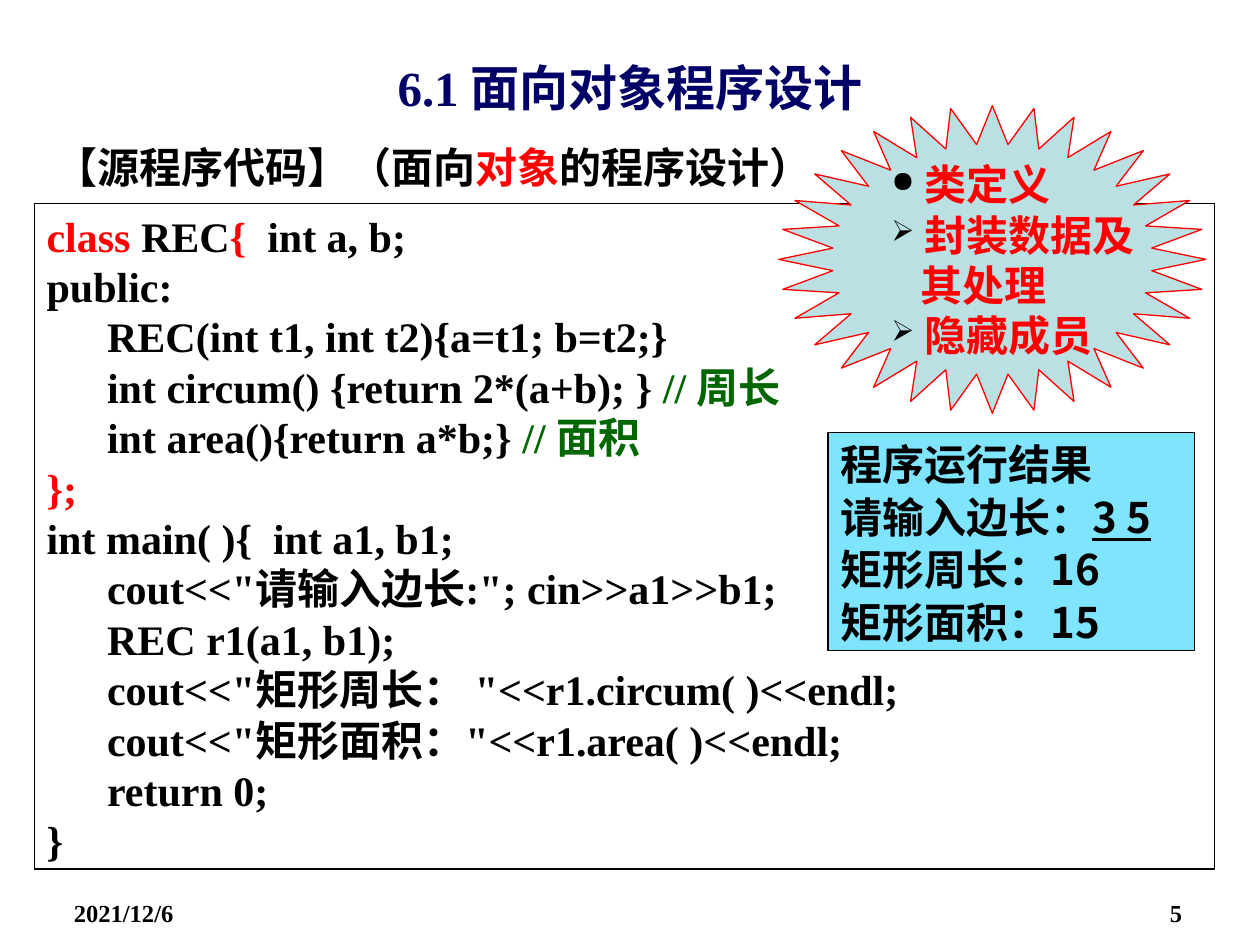
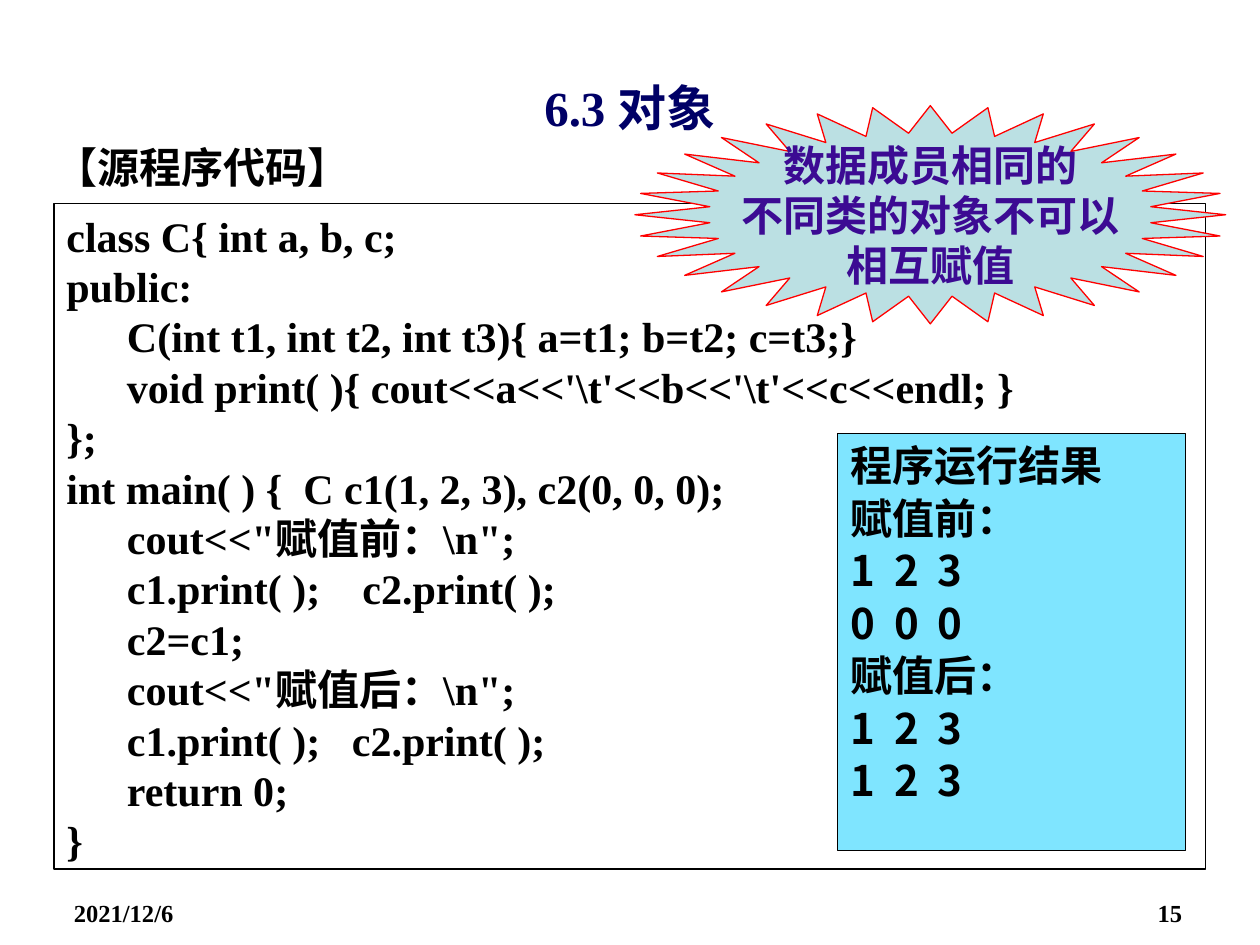
from lxml.etree import SubElement
from pptx import Presentation
from pptx.dml.color import RGBColor
from pptx.enum.shapes import MSO_SHAPE
from pptx.enum.text import MSO_ANCHOR, MSO_AUTO_SIZE, PP_ALIGN
from pptx.oxml.ns import qn
from pptx.util import Cm, Pt

BLACK, RED, GREEN = "000000", "FF0000", "006600"
NAVY, PURPLE = "000066", "3C0B93"
PALE_TEAL, SKY = "BBE0E3", "00CCFF"
SERIF, SANS = "Times New Roman", "Noto Sans CJK SC"
DATE = "2021/12/6"
LINE_PITCH = Pt(28.8)

# Hanging indents: left margin and first-line offset, in cm
HEADING_INDENT = (0.74, -0.74)
CODE_INDENTS = [(0.97, -0.97), (1.98, -0.76)]

# A run is a string or (string, colour). A code line is (level, run, run, ...).
# Boxes are (left, top, width, height) in cm.
SLIDES = [
    {
        "title": "6.1 面向对象程序设计",
        "title_top": 0.97,
        "number": "5",
        "heading": ["【源程序代码】（面向", ("对象", RED), "的程序设计）"],
        "code_box": (0.69, 4.11, 23.8, 13.41),
        "code": [
            (0, ("class", RED), " REC", ("{  ", RED), "int a, b;"),
            (0, "public:"),
            (1, "REC(int t1, int t2){a=t1; b=t2;}"),
            (1, "int circum() {return 2*(a+b); } ", ("// 周长", GREEN)),
            (1, "int area(){return a*b;} ", ("// 面积", GREEN)),
            (0, ("};", RED)),
            (0, "int main( ){  int a1, b1;"),
            (1, 'cout<<"请输入边长:"; cin>>a1>>b1;'),
            (1, "REC r1(a1, b1);"),
            (1, 'cout<<"矩形周长： "<<r1.circum( )<<endl;'),
            (1, 'cout<<"矩形面积："<<r1.area( )<<endl;'),
            (1, "return 0;"),
            (0, "}"),
        ],
        "result_box": (16.69, 8.72, 7.39, 4.4),
        "result": ["程序运行结果", "请输入边长：", "矩形周长：16", "矩形面积：15"],
        "typed_input": (1, "3 5"),
        "star_box": (15.7, 2.13, 8.61, 6.2),
        "star_color": RED,
        "star": [("●", " 类定义"), ("➢", " 封装数据及\v   其处理"), ("➢", " 隐藏成员")],
    },
    {
        "title": "6.3 对象",
        "title_top": 1.37,
        "number": "15",
        "heading": ["【源程序代码】"],
        "code_box": (1.09, 4.11, 23.22, 13.41),
        "code": [
            (0, "class C{ int a, b, c;"),
            (0, "public:"),
            (1, "C(int t1, int t2, int t3){ a=t1; b=t2; c=t3;}"),
            (1, r"void print( ){ cout<<a<<'\t'<<b<<'\t'<<c<<endl; }"),
            (0, "};"),
            (0, "int main( ) {  C c1(1, 2, 3), c2(0, 0, 0);"),
            (1, r'cout<<"赋值前：\n";'),
            (1, "c1.print( );    c2.print( );"),
            (1, "c2=c1;"),
            (1, r'cout<<"赋值后：\n";'),
            (1, "c1.print( );   c2.print( );"),
            (1, "return 0;"),
            (0, "}"),
        ],
        "result_box": (16.89, 8.74, 7.01, 8.41),
        "result": ["程序运行结果", "赋值前：", "1  2  3", "0  0  0",
                   "赋值后：", "1  2  3", "1  2  3"],
        "star_box": (12.8, 2.13, 11.91, 4.4),
        "star_color": PURPLE,
        "star": [(None, "数据成员相同的"), (None, "不同类的对象不可以"), (None, "相互赋值")],
    },
]


def rgb(color):
    return RGBColor.from_string(color)


def place(shape, box):
    shape.left, shape.top, shape.width, shape.height = map(Cm, box)


def paragraphs(frame, count):
    """Yield count paragraphs, starting with the one the frame already has."""
    for index in range(count):
        yield frame.add_paragraph() if index else frame.paragraphs[0]


def style(paragraph, size=24, color=BLACK, font=SERIF, align=PP_ALIGN.LEFT,
          pitch=None, indent=None):
    paragraph.font.name = font
    paragraph.font.size = Pt(size)
    paragraph.font.bold = True
    paragraph.font.color.rgb = rgb(color)
    paragraph.alignment = align
    if pitch:
        paragraph.line_spacing = pitch
    properties = paragraph._p.get_or_add_pPr()
    SubElement(properties.find(qn("a:defRPr")), qn("a:ea"), typeface=SANS)
    if indent:
        for name, length in zip(("marL", "indent"), indent):
            properties.set(name, str(Cm(length)))


def add_runs(paragraph, runs):
    for part in runs:
        text, color = (part, None) if isinstance(part, str) else part
        run = paragraph.add_run()
        run.text = text
        if color:
            run.font.color.rgb = rgb(color)


def set_bullet(paragraph, mark=None):
    properties = paragraph._p.get_or_add_pPr()
    bullet = []
    if mark:
        color = properties.makeelement(qn("a:buClr"))
        SubElement(color, qn("a:srgbClr"), val=BLACK)
        bullet = [color,
                  properties.makeelement(qn("a:buSzPct"), val="70000"),
                  properties.makeelement(qn("a:buChar"), char=mark)]
    else:
        bullet = [properties.makeelement(qn("a:buNone"))]
    for element in bullet:
        properties.find(qn("a:defRPr")).addprevious(element)


def add_panel(slide, kind, box, line, fill=None, alpha=None):
    panel = slide.shapes.add_shape(kind, *map(Cm, box))
    panel.shadow.inherit = False
    panel.line.color.rgb = rgb(line)
    panel.line.width = Pt(0.75)
    if fill:
        panel.fill.solid()
        panel.fill.fore_color.rgb = rgb(fill)
    else:
        panel.fill.background()
    if alpha:
        color = panel._element.spPr.find(qn("a:solidFill")).find(qn("a:srgbClr"))
        SubElement(color, qn("a:alpha"), val=str(alpha * 1000))
    frame = panel.text_frame
    frame.word_wrap = True
    frame.vertical_anchor = MSO_ANCHOR.TOP
    return frame


def fill_placeholders(slide, content):
    title, heading = slide.shapes.title, slide.placeholders[1]
    place(title, (1.27, content["title_top"], 22.86, 1.55))
    place(heading, (0.86, 2.72, 23.62, 1.6))
    for shape in (title, heading):
        shape.text_frame.auto_size = MSO_AUTO_SIZE.NONE
    title.text_frame.vertical_anchor = MSO_ANCHOR.MIDDLE
    title.text_frame.text = content["title"]
    style(title.text_frame.paragraphs[0], 28, NAVY, align=PP_ALIGN.CENTER)

    line = heading.text_frame.paragraphs[0]
    add_runs(line, content["heading"])
    style(line, pitch=LINE_PITCH, indent=HEADING_INDENT)
    line.space_before = Pt(0)
    set_bullet(line)


def add_code(slide, content):
    frame = add_panel(slide, MSO_SHAPE.RECTANGLE, content["code_box"], BLACK)
    code = content["code"]
    for line, (level, *runs) in zip(paragraphs(frame, len(code)), code):
        line.level = level
        add_runs(line, runs)
        style(line, pitch=LINE_PITCH, indent=CODE_INDENTS[level])


def add_result(slide, content):
    frame = add_panel(slide, MSO_SHAPE.RECTANGLE, content["result_box"],
                      BLACK, SKY, alpha=50)
    result = content["result"]
    for line, text in zip(paragraphs(frame, len(result)), result):
        line.text = text
        style(line, font=SANS, pitch=LINE_PITCH, indent=HEADING_INDENT)
        line.space_before = Pt(1.2)
    if "typed_input" in content:
        row, typed = content["typed_input"]
        run = frame.paragraphs[row].add_run()
        run.text = typed
        run.font.underline = True


def add_star(slide, content):
    frame = add_panel(slide, MSO_SHAPE.STAR_32_POINT, content["star_box"],
                      RED, PALE_TEAL)
    frame.word_wrap = False
    frame.vertical_anchor = MSO_ANCHOR.MIDDLE
    star = content["star"]
    for line, (mark, text) in zip(paragraphs(frame, len(star)), star):
        line.text = text
        style(line, color=content["star_color"], pitch=LINE_PITCH,
              align=PP_ALIGN.LEFT if mark else PP_ALIGN.CENTER)
        if mark:
            set_bullet(line, mark)


def add_footer(slide, number):
    for left, text, align in ((1.24, DATE, PP_ALIGN.LEFT),
                              (18.16, number, PP_ALIGN.RIGHT)):
        frame = slide.shapes.add_textbox(*map(Cm, (left, 17.98, 5.92, 0.74))).text_frame
        frame.word_wrap = True
        frame.text = text
        style(frame.paragraphs[0], 14, align=align)


def main():
    deck = Presentation()
    deck.slide_width, deck.slide_height = Cm(25.4), Cm(19.05)
    for content in SLIDES:
        slide = deck.slides.add_slide(deck.slide_layouts[1])
        add_footer(slide, content["number"])
        fill_placeholders(slide, content)
        add_code(slide, content)
        add_result(slide, content)
        add_star(slide, content)
    deck.save("out.pptx")


if __name__ == "__main__":
    main()
